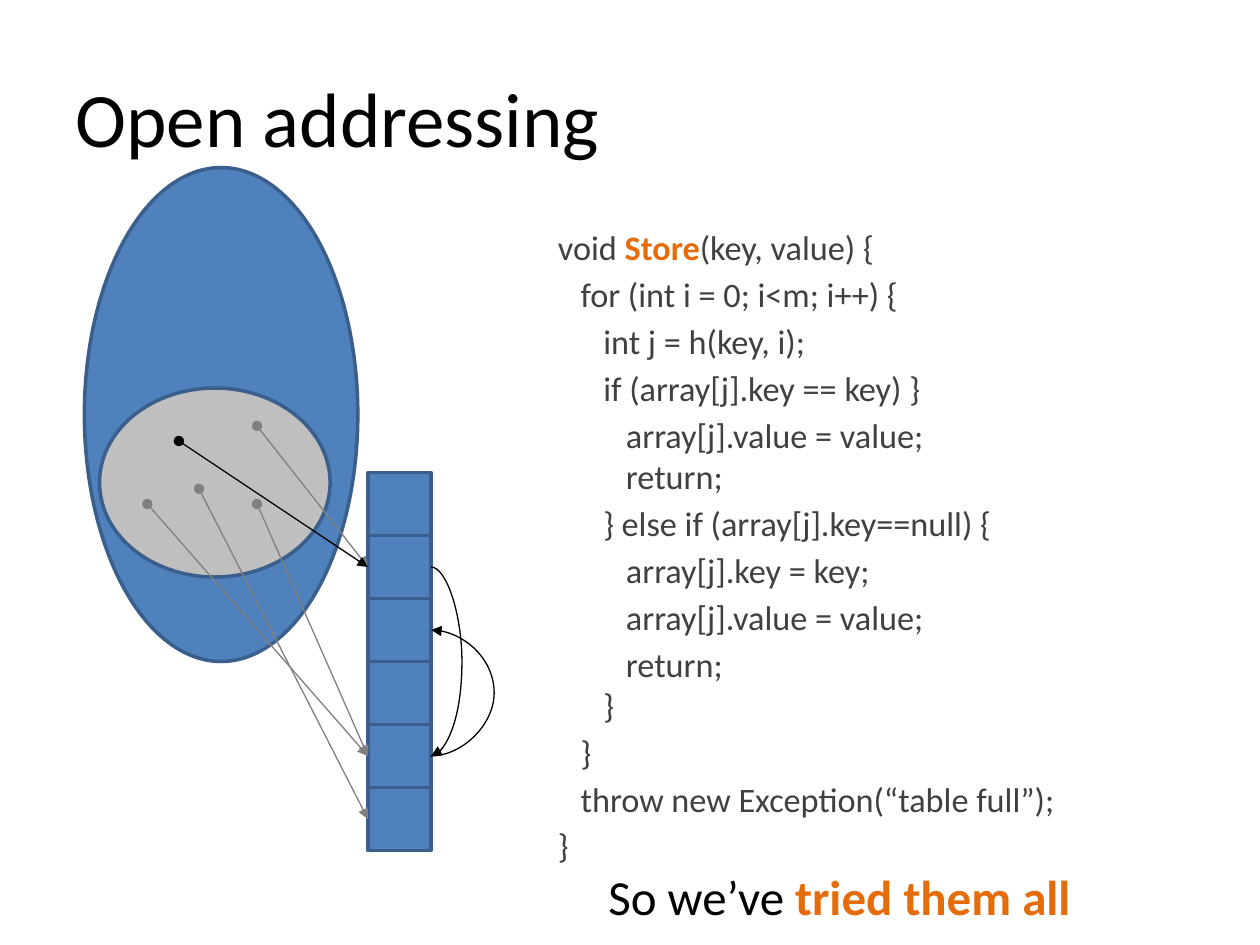
from lxml import etree
from pptx import Presentation
from pptx.dml.color import RGBColor
from pptx.enum.shapes import MSO_CONNECTOR, MSO_SHAPE
from pptx.enum.text import MSO_ANCHOR
from pptx.oxml.ns import qn
from pptx.util import Inches, Pt

RECTANGLE, OVAL = MSO_SHAPE.RECTANGLE, MSO_SHAPE.OVAL
STRAIGHT, CURVE = MSO_CONNECTOR.STRAIGHT, MSO_CONNECTOR.CURVE
MIDDLE = MSO_ANCHOR.MIDDLE

BLUE = RGBColor(0x4F, 0x81, 0xBD)
OUTLINE = RGBColor(0x3A, 0x5F, 0x8C)
SILVER = RGBColor(0xBF, 0xBF, 0xBF)
GRAY = RGBColor(0x80, 0x80, 0x80)
DARK = RGBColor(0x40, 0x40, 0x40)
BLACK = RGBColor(0, 0, 0)
ORANGE = RGBColor(0xE4, 0x6C, 0x0A)

FONT = "Calibri"
CODE_INDENT = 0.18
CODE_GAP = 3.3
CELL = 0.5
TABLE_LEFT, TABLE_TOP, TABLE_ROWS = 2.92, 3.75, 6
LEFT_SIDE = 1
CURVE_WIDTH = 0.002

TITLE = [("Open addressing", False)]
CONCLUSION = [("So we’ve ", False), ("tried them all", True)]
# (indent level, gap before, runs)
CODE = [
    (0, True, [("void ", False), ("Store", True), ("(key, value) {", False)]),
    (1, True, [("for (int i = 0; i<m; i++) {", False)]),
    (2, True, [("int j = h(key, i);", False)]),
    (2, True, [("if (array[j].key == key) }", False)]),
    (3, True, [("array[j].value = value;", False)]),
    (3, False, [("return;", False)]),
    (2, True, [("} else if (array[j].key==null) {", False)]),
    (3, True, [("array[j].key = key;", False)]),
    (3, True, [("array[j].value = value;", False)]),
    (3, True, [("return;", False)]),
    (2, False, [("}", False)]),
    (1, True, [("}", False)]),
    (1, True, [("throw new Exception(“table full”);", False)]),
    (0, True, [("}", False)]),
]
SETS = [
    ((0.67, 1.33, 2.17, 3.92), BLUE),
    ((0.79, 3.08, 1.83, 1.5), SILVER),
]
HASHES = [
    ((2.04, 3.38), 1, GRAY),
    ((1.42, 3.5), 1, BLACK),
    ((1.17, 4), 4, GRAY),
    ((2.04, 4), 4, GRAY),
    ((1.58, 3.88), 5, GRAY),
]
PROBES = [(1, 4, 0.25), (4, 2, 0.51)]


def add_text_box(slide, box, wrap=True):
    frame = slide.shapes.add_textbox(*map(Inches, box)).text_frame
    frame.word_wrap = wrap
    return frame


def fill_paragraph(paragraph, runs, size, color):
    paragraph.font.name = FONT
    paragraph.font.size = Pt(size)
    paragraph.font.color.rgb = color
    for text, emphasized in runs:
        run = paragraph.add_run()
        run.text = text
        run.font.color.rgb = ORANGE if emphasized else color
        run.font.bold = emphasized


def add_outlined(slide, kind, box, color):
    shape = slide.shapes.add_shape(kind, *map(Inches, box))
    shape.shadow.inherit = False
    shape.fill.solid()
    shape.fill.fore_color.rgb = color
    shape.line.color.rgb = OUTLINE
    shape.line.width = Pt(2)
    return shape


def add_arrow(slide, kind, start, end, color, head=None):
    connector = slide.shapes.add_connector(kind, *map(Inches, start + end))
    connector.line.color.rgb = color
    connector.line.width = Pt(0.75)
    line = connector.line._get_or_add_ln()
    if head:
        etree.SubElement(line, qn("a:headEnd"), type=head)
    etree.SubElement(line, qn("a:tailEnd"), type="triangle")
    etree.SubElement(connector._element.spPr, qn("a:effectLst"))
    return connector


def add_probe(slide, start_row, end_row, bulge):
    right = TABLE_LEFT + CELL
    start = (right, TABLE_TOP + (start_row + 0.5) * CELL)
    end = (right + CURVE_WIDTH, TABLE_TOP + (end_row + 0.5) * CELL)
    connector = add_arrow(slide, CURVE, start, end, BLACK)
    geometry = connector._element.spPr.find(qn("a:prstGeom"))
    guides = geometry.find(qn("a:avLst"))
    if guides is None:
        guides = etree.SubElement(geometry, qn("a:avLst"))
    ratio = round(bulge / CURVE_WIDTH * 100000)
    etree.SubElement(guides, qn("a:gd"), name="adj1", fmla=f"val {ratio}")


def main():
    presentation = Presentation()
    presentation.slide_width, presentation.slide_height = Inches(10), Inches(7.5)
    slide = presentation.slides.add_slide(presentation.slide_layouts[6])

    title = add_text_box(slide, (0.5, 0.3, 9, 1.25))
    title.vertical_anchor = MIDDLE
    fill_paragraph(title.paragraphs[0], TITLE, 44, BLACK)

    code = add_text_box(slide, (4.33, 1.75, 5.67, 4.95))
    for index, (level, gap, runs) in enumerate(CODE):
        paragraph = code.add_paragraph() if index else code.paragraphs[0]
        paragraph.space_before = Pt(CODE_GAP if gap else 0)
        properties = paragraph._p.get_or_add_pPr()
        properties.set("marL", str(Inches(level * CODE_INDENT)))
        fill_paragraph(paragraph, runs, 19.6, DARK)

    cells = [
        add_outlined(slide, RECTANGLE, (TABLE_LEFT, TABLE_TOP + row * CELL, CELL, CELL), BLUE)
        for row in range(TABLE_ROWS)
    ]
    for box, color in SETS:
        add_outlined(slide, OVAL, box, color)

    for key, row, color in HASHES:
        target = (TABLE_LEFT, TABLE_TOP + (row + 0.5) * CELL)
        arrow = add_arrow(slide, STRAIGHT, key, target, color, head="oval")
        arrow.end_connect(cells[row], LEFT_SIDE)
    for probe in PROBES:
        add_probe(slide, *probe)

    conclusion = add_text_box(slide, (4.73, 6.83, 3.91, 0.57), wrap=False)
    fill_paragraph(conclusion.paragraphs[0], CONCLUSION, 28, BLACK)

    presentation.save("out.pptx")


if __name__ == "__main__":
    main()
